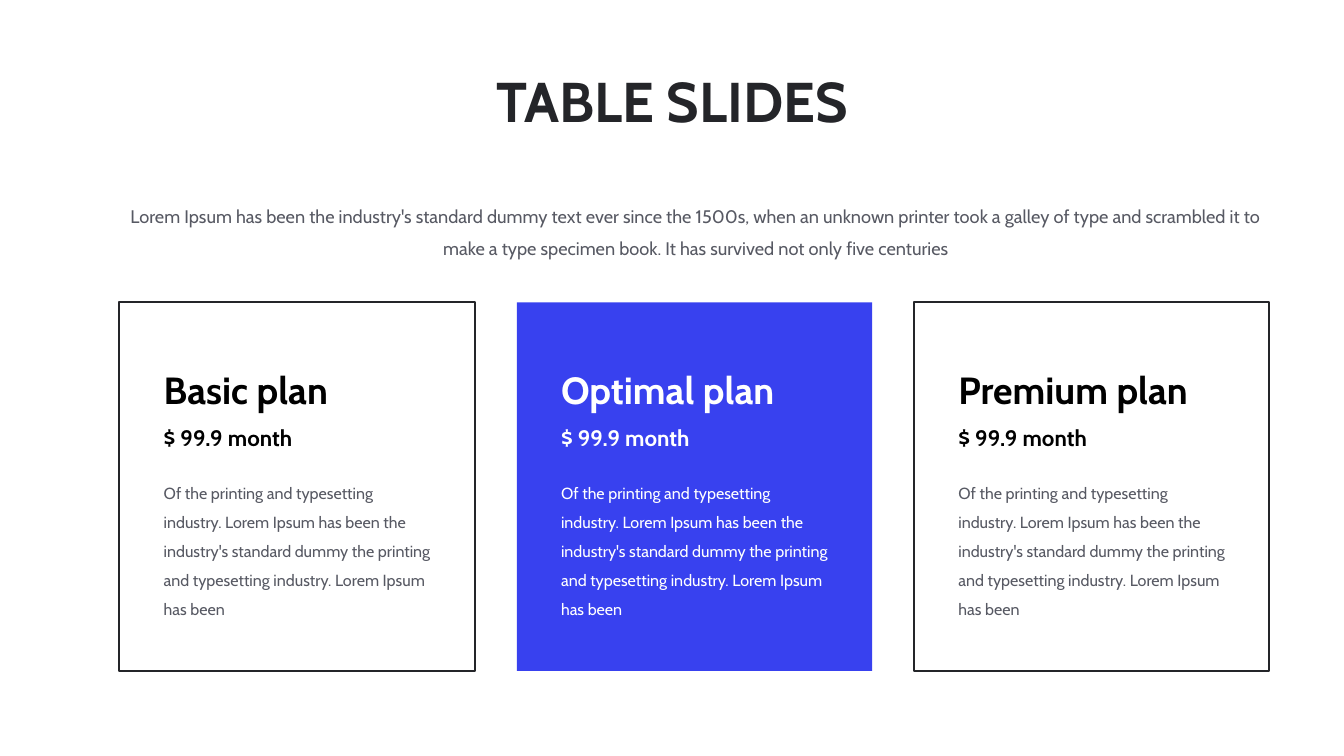
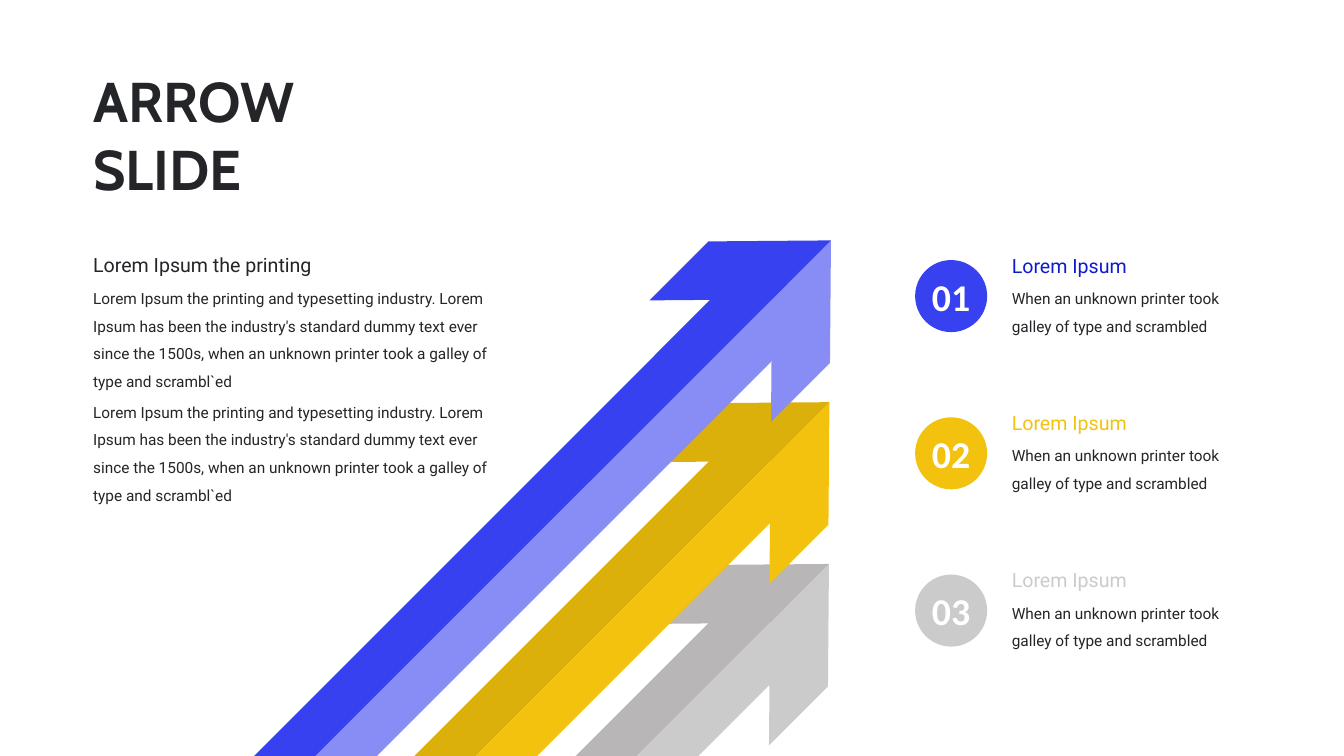
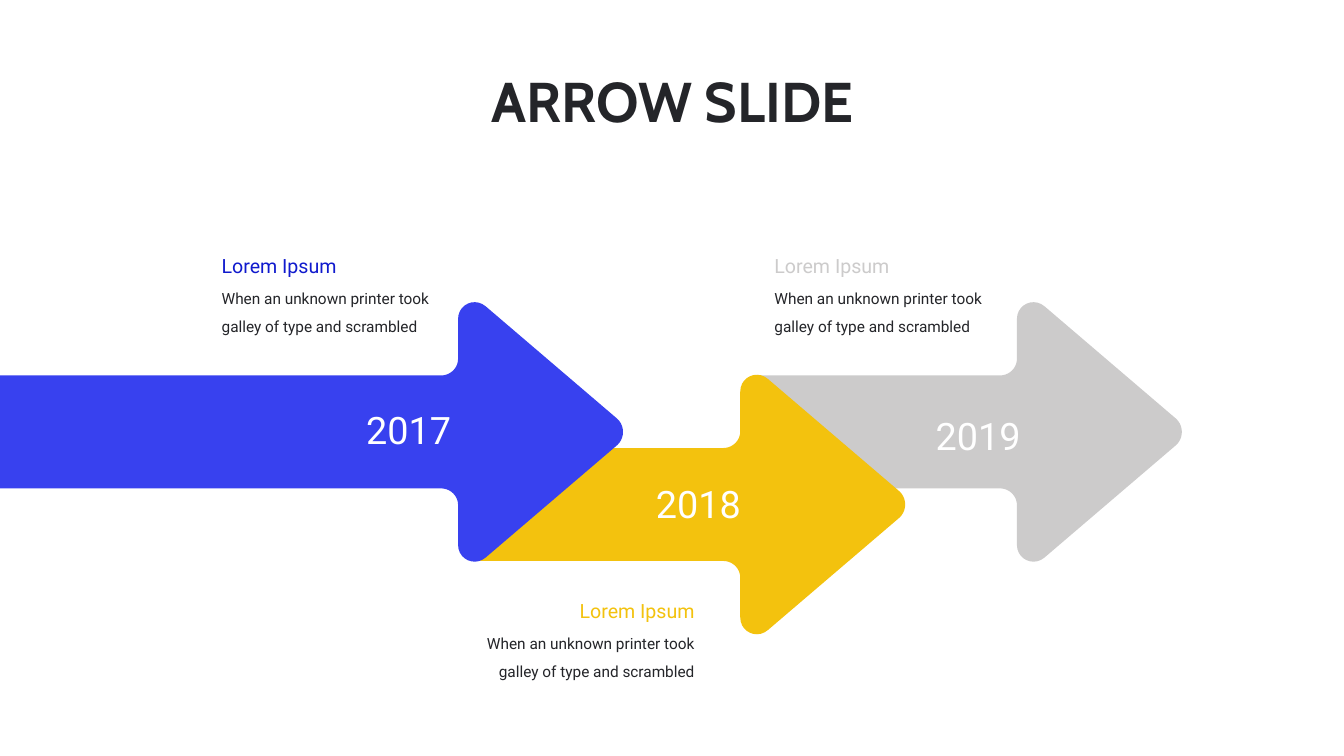
"""Build three slides: pricing plans, rising arrows and a timeline of arrows."""
import math

from pptx import Presentation
from pptx.dml.color import RGBColor
from pptx.enum.shapes import MSO_SHAPE
from pptx.enum.text import MSO_ANCHOR, PP_ALIGN
from pptx.util import Inches, Pt

LEFT, CENTER, RIGHT = PP_ALIGN.LEFT, PP_ALIGN.CENTER, PP_ALIGN.RIGHT
TOP, MIDDLE = MSO_ANCHOR.TOP, MSO_ANCHOR.MIDDLE
CARD, RECT, OVAL = MSO_SHAPE.ROUNDED_RECTANGLE, MSO_SHAPE.RECTANGLE, MSO_SHAPE.OVAL

THEME = {
    "size": (26.67, 15),
    "colors": {
        "ink": "242529", "body": "575963", "black": "000000", "white": "FFFFFF",
        "blue": "3841EF", "light_blue": "888DF5", "deep_blue": "101ACD",
        "yellow": "F3C20E", "dark_yellow": "DCB00B",
        "gray": "CCCBCB", "dark_gray": "B8B6B6",
    },
    "styles": {
        "title": {"name": "Cabin", "size": 80, "bold": True, "color": "ink", "before": 0},
        "intro": {"name": "Cabin", "size": 26, "color": "body", "spacing": 1.5},
        "plan": {"name": "Cabin", "size": 54, "bold": True, "spacing": 1.3},
        "price": {"name": "Cabin", "size": 32, "bold": True, "spacing": 1.3},
        "detail": {"name": "Cabin", "size": 23, "spacing": 1.5, "before": 33},
        "lead": {"name": "Roboto", "size": 28, "color": "ink", "spacing": 1.5},
        "label": {"name": "Roboto", "size": 28},
        "text": {"name": "Roboto", "size": 22, "color": "ink", "spacing": 1.5},
        "year": {"name": "Roboto", "size": 54, "color": "white"},
        "number": {"name": "Calibri", "size": 54, "bold": True, "color": "white", "before": 0},
    },
}
W, H = THEME["size"]

INTRO = ("Lorem Ipsum has been the industry's standard dummy text ever since the 1500s, "
         "when an unknown printer took a galley of type and scrambled it to make a type "
         "specimen book. It has survived not only five centuries")
PRICE = "$ 99.9 month"
DETAIL = ("Of the printing and typesetting industry. Lorem Ipsum has been the industry's "
          "standard dummy the printing and typesetting industry. Lorem Ipsum has been")
PLANS = [
    ("Basic plan", None, "black", "body"),
    ("Optimal plan", "blue", "white", "white"),
    ("Premium plan", None, "black", "body"),
]

LEAD = "Lorem Ipsum\u00a0the printing "
STORY = ("Lorem Ipsum\u00a0the printing and typesetting industry. Lorem Ipsum has been the "
         "industry's standard dummy text ever since the 1500s, when an unknown printer took "
         "a galley of type and scrambl`ed")
LABEL = "Lorem Ipsum"
NOTE = "When an unknown printer took galley of type and scrambled"
STEPS = [("01", "blue", "deep_blue"), ("02", "yellow", "yellow"), ("03", "gray", "gray")]
RISING = [
    ((16.45, 11.19), 5.21, "gray", "dark_gray"),
    ((16.46, 7.98), 9.71, "yellow", "dark_yellow"),
    ((16.49, 4.77), 14.23, "light_blue", "blue"),
]
WING = [(0, 0), (-1.17, 1.17), (-1.19, 3.6), (-0.02, 2.43)]
BAR_WIDTH, BAR_END = 0.86, (-0.56, 1.17)

TIMELINE = [
    (20.18, 8.57, 5.45, 0.33, "gray"),
    (14.69, 10.01, 5.44, 0.33, "yellow"),
    (9.09, 8.57, 9.09, 0, "blue"),
]
NOTES = [
    ((4.3, 4.98, 4.94, 1.82), "deep_blue", LEFT),
    ((15.27, 4.98, 4.94, 1.82), "gray", LEFT),
    ((8.94, 11.83, 4.94, 1.66), "yellow", RIGHT),
]
YEARS = [("2018", 11.93, 9.4), ("2017", 6.18, 7.93), ("2019", 17.48, 8.05)]
SHAFT = 1.12
NOTCH = [(-0.34, -SHAFT), (-0.15, -SHAFT), (0, -1.27), (0, -1.45)]
BARB = [(0, -2.24), (0, -2.53), (0.33, -2.68), (0.55, -2.49)]
NOSE = [(3.16, -0.26), (3.31, -0.12), (3.31, 0.12), (3.16, 0.26)]


def rgb(name):
    """Return a theme colour."""
    return RGBColor.from_string(THEME["colors"][name])


def write(sp, paras, align=LEFT, anchor=TOP):
    """Fill a shape with (text, style, colour) paragraphs."""
    tf = sp.text_frame
    tf.word_wrap, tf.vertical_anchor = True, anchor
    for i, (text, style, color) in enumerate(paras):
        p = tf.add_paragraph() if i else tf.paragraphs[0]
        p.text = text
        fmt = THEME["styles"][style]
        size = fmt["size"]
        layout = {"alignment": align, "line_spacing": fmt.get("spacing", 1.0),
                  "space_before": Pt(fmt.get("before", size * 0.2))}
        for key, value in layout.items():
            setattr(p, key, value)
        font = {"name": fmt["name"], "size": Pt(size), "bold": fmt.get("bold", False)}
        for r in p.runs:
            for key, value in font.items():
                setattr(r.font, key, value)
            r.font.color.rgb = rgb(color or fmt["color"])


def add_text(shapes, box, paras, **kw):
    """Add a text box."""
    write(shapes.add_textbox(*map(Inches, box)), paras, **kw)


def paint(sp, fill=None, line=None, width=3):
    """Set fill and line and drop the shadow."""
    sp.shadow.inherit = False
    if fill:
        sp.fill.solid()
        sp.fill.fore_color.rgb = rgb(fill)
    else:
        sp.fill.background()
    if line:
        sp.line.color.rgb, sp.line.width = rgb(line), Pt(width)
    else:
        sp.line.fill.background()
    return sp


def add_shape(shapes, kind, box, **kw):
    """Add a painted preset shape."""
    return paint(shapes.add_shape(kind, *map(Inches, box)), **kw)


def add_outline(shapes, points, fill):
    """Add a closed freeform through points in inches."""
    pts = [(Inches(x), Inches(y)) for x, y in points]
    fb = shapes.build_freeform(*pts[0])
    fb.add_line_segments(pts[1:], close=True)
    return paint(fb.convert_to_shape(), fill)


def add_slide(title, align=CENTER):
    """Add a blank slide with its title."""
    s = prs.slides.add_slide(prs.slide_layouts[6])
    add_text(s.shapes, (1.75, 1.28, W - 3.49, 1.39), [(title, "title", None)], align=align)
    return s.shapes


def note(color):
    """Return the paragraphs of a coloured label and its note."""
    return [(LABEL, "label", color), (NOTE, "text", None)]


def mirror(point):
    """Reflect a point across the diagonal of a rising arrow."""
    x, y = point
    return -y, -x


def add_bar(shapes, tip, end, length, fill):
    """Add a diagonal bar running down from its end beside the tip."""
    reach = length / 2 * math.sqrt(0.5)
    cx, cy = tip[0] + end[0] - reach, tip[1] + end[1] + reach
    box = cx - BAR_WIDTH / 2, cy - length / 2, BAR_WIDTH, length
    add_shape(shapes, RECT, box, fill=fill).rotation = 45


def add_wing(shapes, tip, wing, fill):
    """Add half an arrowhead, drawn upright and turned by 45 degrees."""
    cx, cy = (sum(axis) / len(wing) for axis in zip(*wing))
    k = math.sqrt(0.5)
    upright = [(tip[0] + cx + k * (x - cx + y - cy), tip[1] + cy + k * (y - cy - x + cx))
               for x, y in wing]
    add_outline(shapes, upright, fill).rotation = 45


def curve(a, b, c, d, steps=10):
    """Return points along a cubic curve."""
    out = []
    for i in range(steps + 1):
        t = i / steps
        u = 1 - t
        weights = u ** 3, 3 * u * u * t, 3 * u * t * t, t ** 3
        out.append(tuple(sum(w * v for w, v in zip(weights, axis))
                         for axis in zip(a, b, c, d)))
    return out


def arrow_points(x, y, tail, radius):
    """Return the outline of a rounded arrow whose head starts at x on axis y."""
    far, bend = -tail, radius * 0.45
    corner = [(far, radius - SHAFT), (far, bend - SHAFT),
              (far + bend, -SHAFT), (far + radius, -SHAFT)]
    start = curve(*corner) if radius else [(far, -SHAFT)]
    upper = start + curve(*NOTCH) + curve(*BARB)
    lower = [(px, -py) for px, py in reversed(upper)]
    return [(x + px, y + py) for px, py in upper + curve(*NOSE) + lower]


def plans_slide():
    """Build the pricing cards."""
    shapes = add_slide("TABLE SLIDES")
    add_text(shapes, (2.39, 3.8, 22.84, 1.65), [(INTRO, "intro", None)], align=CENTER)
    left, top, pitch, width, height = 2.37, 6, 7.885, 7.05, 7.31
    for i, (plan, fill, head, body) in enumerate(PLANS):
        x = left + i * pitch
        sp = add_shape(shapes, CARD, (x, top, width, height),
                       fill=fill, line=None if fill else "ink")
        sp.adjustments[0] = 0
        add_text(shapes, (x + 0.78, top + 0.95, 5.53, 5.5),
                 [(plan, "plan", head), (PRICE, "price", head), (DETAIL, "detail", body)])


def rising_slide():
    """Build the rising arrows with numbered notes."""
    shapes = add_slide("ARROW \vSLIDE", LEFT)
    top, pitch = 4.98, 3.12
    for i, (number, fill, color) in enumerate(STEPS):
        y = top + i * pitch
        grp = shapes.add_group_shape().shapes
        add_text(grp, (19.98, y, 4.95, 1.79), note(color))
        sp = add_shape(grp, OVAL, (18.16, y + 0.18, 1.43, 1.43), fill=fill)
        write(sp, [(number, "number", None)], align=CENTER, anchor=MIDDLE)
    grp = shapes.add_group_shape().shapes
    for tip, length, low, high in RISING:
        add_bar(grp, tip, BAR_END, length, low)
        add_bar(grp, tip, mirror(BAR_END), length, high)
        add_wing(grp, tip, WING, low)
        add_wing(grp, tip, [mirror(point) for point in WING], high)
    add_text(shapes, (1.75, 4.74, 8.51, 6.44),
             [(LEAD, "lead", None)] + [(STORY, "text", None)] * 2)


def timeline_slide():
    """Build the arrows that follow each other by year."""
    shapes = add_slide("ARROW SLIDE")
    for x, y, tail, radius, fill in TIMELINE:
        add_outline(shapes, arrow_points(x, y, tail, radius), fill)
    for box, color, align in NOTES:
        add_text(shapes, box, note(color), align=align)
    for year, x, y in YEARS:
        add_text(shapes, (x, y, 2.87, 1.18), [(year, "year", None)],
                 align=RIGHT, anchor=MIDDLE)


prs = Presentation()
prs.slide_width, prs.slide_height = Inches(W), Inches(H)
plans_slide()
rising_slide()
timeline_slide()
prs.save("out.pptx")
